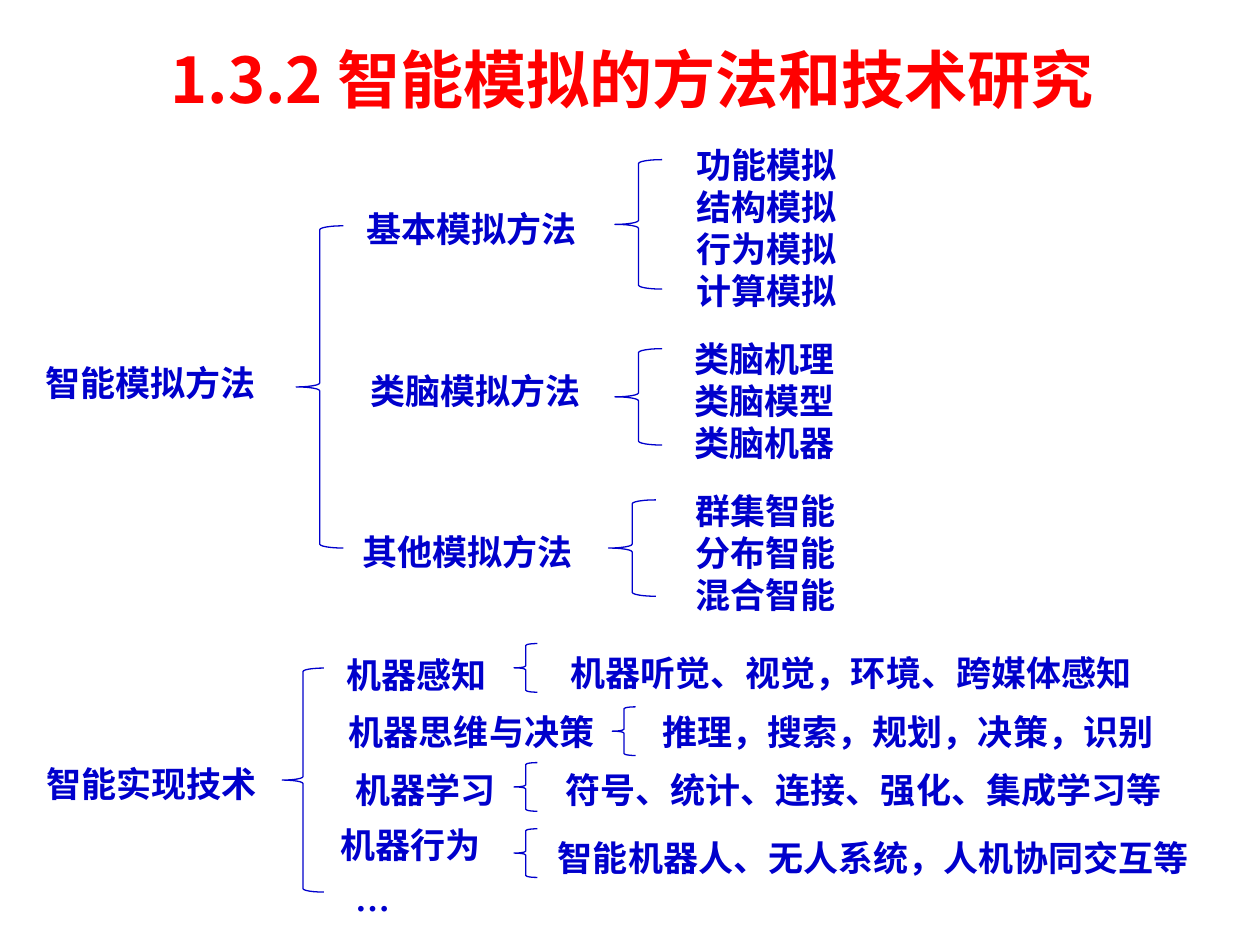
from dataclasses import dataclass

from lxml import etree
from pptx import Presentation
from pptx.dml.color import RGBColor
from pptx.enum.shapes import MSO_SHAPE
from pptx.enum.text import MSO_ANCHOR, PP_ALIGN
from pptx.oxml.ns import qn
from pptx.util import Inches, Pt

LEFT_BRACE = MSO_SHAPE.LEFT_BRACE
LEFT, CENTER = PP_ALIGN.LEFT, PP_ALIGN.CENTER
TOP, MIDDLE = MSO_ANCHOR.TOP, MSO_ANCHOR.MIDDLE


@dataclass(frozen=True)
class Theme:
    font: str = "Noto Sans CJK SC"
    title_color: RGBColor = RGBColor(0xFF, 0, 0)
    ink: RGBColor = RGBColor(0, 0, 0xCC)
    title_size: int = 36
    body_size: int = 20
    line_spacing: float = 1.2
    baseline_rows: float = 0.4
    brace_line: float = 0.75


THEME = Theme()
WIDTH, HEIGHT = Inches(10), Inches(7.5)
COLUMN, ROW = WIDTH / 100, HEIGHT / 100
LINE_ROWS = 4.45
PADDING_ROWS = 1.4


@dataclass(frozen=True)
class Box:
    left: float
    top: float
    width: float
    height: float

    def inner(self, left, top, width, height):
        return Box(self.left + left, self.top + top, width, height)

    def emu(self):
        return (round(self.left * COLUMN), round(self.top * ROW),
                round(self.width * COLUMN), round(self.height * ROW))


def write_lines(frame, lines, size, color, align, anchor):
    frame.word_wrap = True
    frame.vertical_anchor = anchor
    frame.text = "\n".join(lines)
    for paragraph in frame.paragraphs:
        paragraph.alignment = align
        paragraph.line_spacing = Pt(round(size * THEME.line_spacing))
        paragraph.space_before = Pt(0)
        font = paragraph.font
        font.name, font.size, font.bold = THEME.font, Pt(size), True
        font.color.rgb = color
        defaults = paragraph._p.pPr.find(qn("a:defRPr"))
        etree.SubElement(defaults, qn("a:ea")).set("typeface", THEME.font)


def place_title(slide, box, wording):
    title = slide.shapes.title
    title.left, title.top, title.width, title.height = box.emu()
    write_lines(title.text_frame, [wording], THEME.title_size,
                THEME.title_color, CENTER, MIDDLE)


def place_label(slide, region, left, top, width, lines, align=LEFT):
    box = region.inner(left, top + THEME.baseline_rows, width,
                       PADDING_ROWS + LINE_ROWS * len(lines))
    label = slide.shapes.add_textbox(*box.emu())
    write_lines(label.text_frame, lines, THEME.body_size, THEME.ink, align, TOP)


def place_brace(slide, region, left, top, width, height):
    box = region.inner(left, top, width, height)
    brace = slide.shapes.add_shape(LEFT_BRACE, *box.emu())
    brace.shadow.inherit = False
    brace.fill.background()
    brace.line.color.rgb = THEME.ink
    brace.line.width = Pt(THEME.brace_line)


def place_tree(slide, region, root, root_place, root_brace, branches):
    place_label(slide, region, *root_place, [root], CENTER)
    place_brace(slide, region, *root_brace)
    for name, name_place, brace, leaves, leaves_place in branches:
        place_label(slide, region, *name_place, [name])
        if leaves:
            place_brace(slide, region, *brace)
            place_label(slide, region, *leaves_place, leaves)


METHODS = [
    ("基本模拟方法", (28.1, 6.9, 20.5), (48.8, 2.9, 3.75, 13.7),
     ["功能模拟", "结构模拟", "行为模拟", "计算模拟"], (54.3, 0.1, 21.9)),
    ("类脑模拟方法", (28.4, 24.1, 20.5), (48.8, 22.9, 3.75, 10.2),
     ["类脑机理", "类脑模型", "类脑机器"], (54.1, 20.7, 21.5)),
    ("其他模拟方法", (27.8, 41.1, 20.5), (48.3, 38.9, 3.75, 10.2),
     ["群集智能", "分布智能", "混合智能"], (54.2, 36.7, 15)),
]
TECHNOLOGIES = [
    ("机器感知", (26.5, 1.1, 14.2), (40.8, 1.1, 1.85, 5.15),
     ["机器听觉、视觉，环境、跨媒体感知"], (44.3, 0.9, 52.7)),
    ("机器思维与决策", (26.7, 7.1, 23.2), (48.6, 7.8, 1.85, 5.15),
     ["推理，搜索，规划，决策，识别"], (51.6, 7.1, 45.3)),
    ("机器学习", (27.2, 13.3, 14.7), (40.8, 13.7, 1.85, 5.15),
     ["符号、统计、连接、强化、集成学习等"], (43.9, 13.3, 53)),
    ("机器行为", (26, 19.1, 15.8), (40.8, 20.7, 1.85, 5.15),
     ["智能机器人、无人系统，人机协同交互等"], (43.3, 20.5, 53.1)),
    ("…", (27.2, 25.9, 12.3), None, [], None),
]


def main():
    deck = Presentation()
    deck.slide_width, deck.slide_height = WIDTH, HEIGHT
    slide = deck.slides.add_slide(deck.slide_layouts[5])
    place_title(slide, Box(3.1, 3.7, 94.1, 9.2), "1.3.2 智能模拟的方法和技术研究")
    place_tree(slide, Box(0, 14, 100, 53), "智能模拟方法",
               (2, 23.2, 19.9), (23.5, 9.9, 3.75, 34.1), METHODS)
    place_tree(slide, Box(0, 67, 100, 33), "智能实现技术",
               (2.1, 12.6, 19.9), (22.4, 3.7, 3.3, 23.7), TECHNOLOGIES)
    deck.save("out.pptx")


if __name__ == "__main__":
    main()
